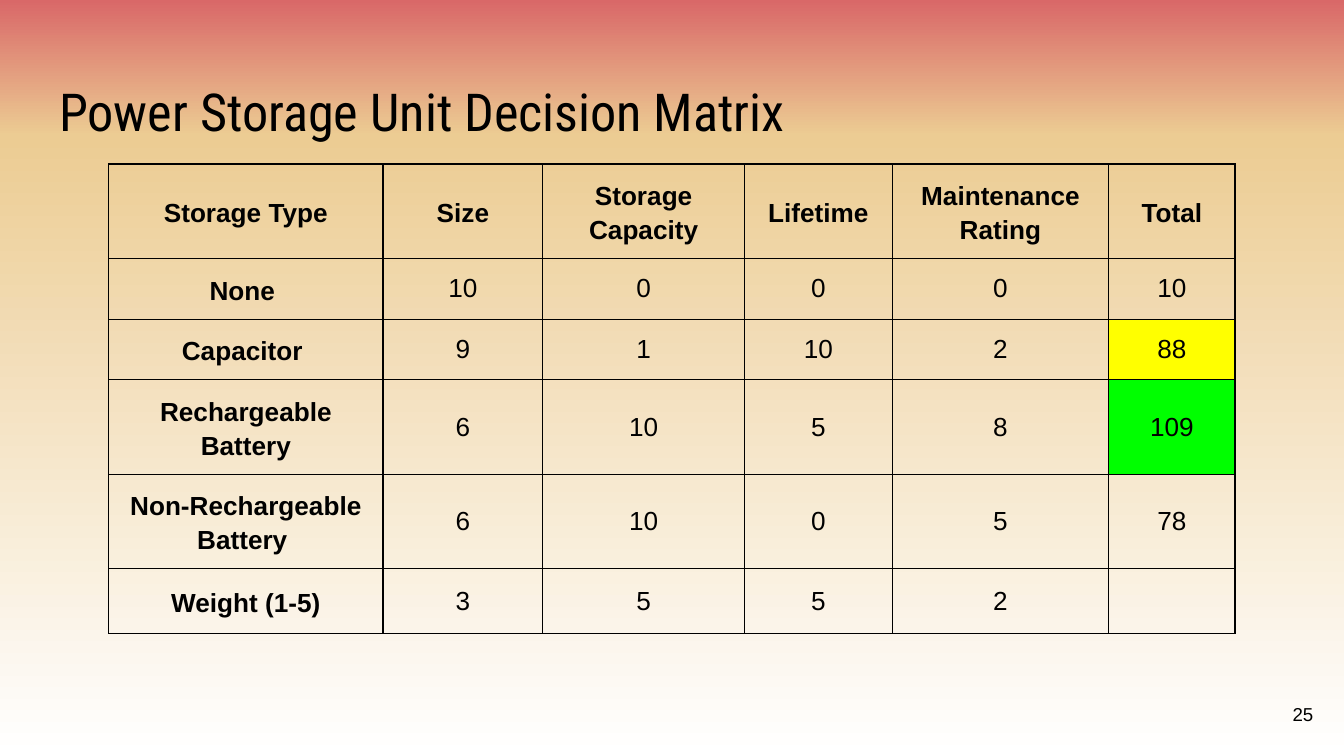
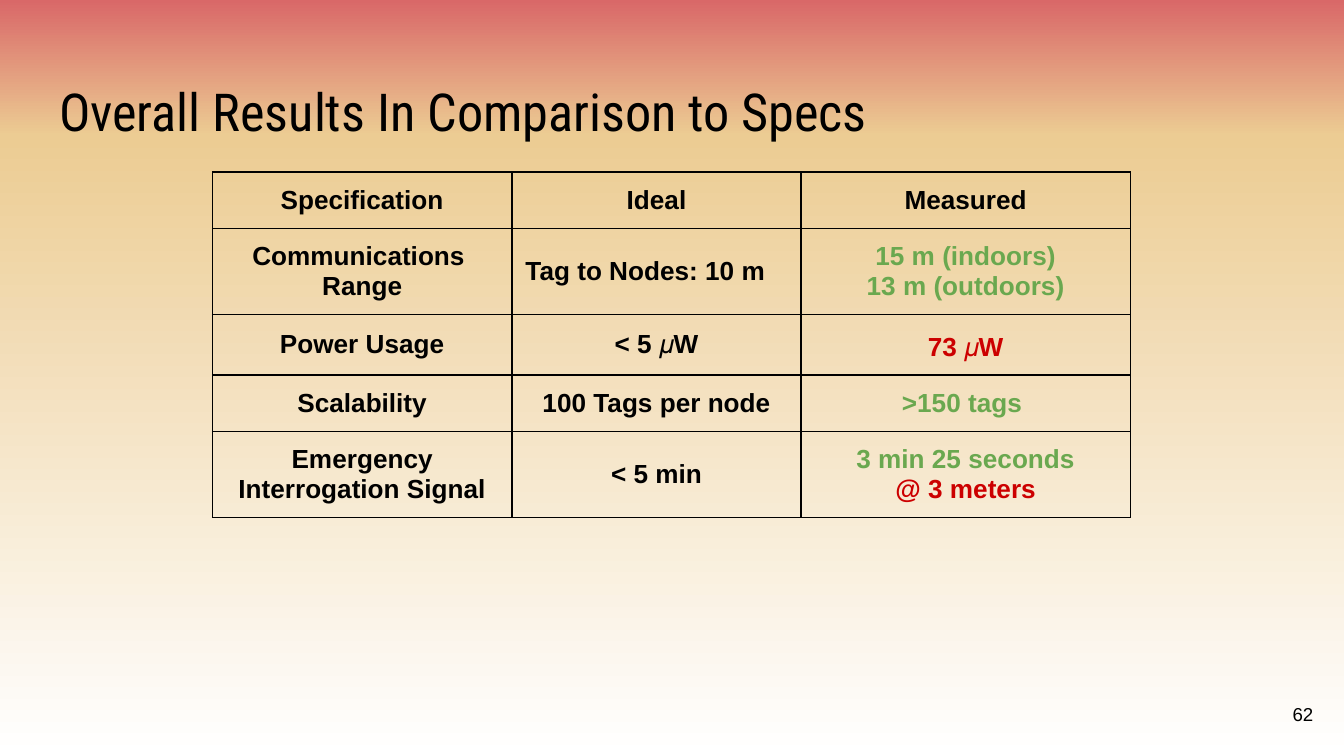
from dataclasses import dataclass
from typing import NamedTuple

from lxml import etree
from pptx import Presentation
from pptx.dml.color import RGBColor
from pptx.enum.text import MSO_ANCHOR, MSO_AUTO_SIZE, PP_ALIGN
from pptx.oxml.ns import qn
from pptx.util import Inches, Pt

LEFT, CENTER, RIGHT = PP_ALIGN.LEFT, PP_ALIGN.CENTER, PP_ALIGN.RIGHT
TOP, MIDDLE = MSO_ANCHOR.TOP, MSO_ANCHOR.MIDDLE
NO_AUTOFIT = MSO_AUTO_SIZE.NONE
TITLE_ONLY = 5

COLORS = {
    "text": "000000",
    "border": "000000",
    "runner_up": "FFFF00",
    "winner": "00FF00",
    "met": "6AA84F",
    "missed": "CC0000",
    "sky": "D96868",
    "sand": "ECCC93",
    "ground": "FFFFFF",
}
GRADIENT = ((0, "sky"), (18, "sand"), (100, "ground"))
TITLE_FONT, BODY_FONT = "Roboto Condensed", "Arial"
TABLE_SIZE = 14
SLIDE_WIDTH = Inches(10)
SLIDE_HEIGHT = SLIDE_WIDTH * 9 // 16
INSET = Inches(0.1)
BORDER_WIDTH = Pt(0.75)


class Cell(NamedTuple):
    """Text and format of one table cell, with one colour per paragraph."""

    text: str
    bold: bool = True
    colors: tuple[str, ...] = ("text",)
    fill: str | None = None
    spacing: float = 1.0
    alignment: PP_ALIGN = CENTER


@dataclass
class TableSlide:
    """Content of a slide made of a title, a table and a page number."""

    title: str
    page: int
    left: float
    top: float
    columns: list[float]
    rows: list[float]
    cells: list[list[Cell]]


def label(text: str) -> Cell:
    """Return a bold heading cell of the decision matrix."""
    return Cell(text, spacing=1.15)


def scores(name: str, *values: int, total: str = "", fill: str | None = None) -> list[Cell]:
    """Return a row of the decision matrix."""
    numbers = [Cell(str(value), bold=False) for value in values]
    return [label(name), *numbers, Cell(total, bold=False, fill=fill)]


HEADINGS = ("Storage Type", "Size", "Storage Capacity", "Lifetime", "Maintenance Rating", "Total")

SLIDES = [
    TableSlide(
        title="Power Storage Unit Decision Matrix",
        page=25,
        left=0.81,
        top=1.22,
        columns=[2.04, 1.19, 1.5, 1.1, 1.61, 0.94],
        rows=[0.7, 0.45, 0.45, 0.7, 0.7, 0.48],
        cells=[
            [label(heading) for heading in HEADINGS],
            scores("None ", 10, 0, 0, 0, total="10"),
            scores("Capacitor ", 9, 1, 10, 2, total="88", fill="runner_up"),
            scores("Rechargeable Battery", 6, 10, 5, 8, total="109", fill="winner"),
            scores("Non-Rechargeable Battery ", 6, 10, 0, 5, total="78"),
            scores("Weight (1-5)", 3, 5, 5, 2),
        ],
    ),
    TableSlide(
        title="Overall Results In Comparison to Specs",
        page=62,
        left=1.58,
        top=1.28,
        columns=[2.23, 2.15, 2.45],
        rows=[0.42, 0.64, 0.45, 0.42, 0.64],
        cells=[
            [Cell("Specification"), Cell("Ideal"), Cell("Measured")],
            [
                Cell("Communications \nRange"),
                Cell("Tag to Nodes: 10 m", alignment=LEFT),
                Cell("15 m (indoors)\n13 m (outdoors)", colors=("met",)),
            ],
            [
                Cell("Power Usage"),
                Cell("< 5 𝜇W"),
                Cell("73 𝜇W", colors=("missed",), spacing=1.15),
            ],
            [
                Cell("Scalability"),
                Cell("100 Tags per node"),
                Cell(">150 tags ", colors=("met",)),
            ],
            [
                Cell("Emergency Interrogation Signal"),
                Cell("< 5 min"),
                Cell("3 min 25 seconds\n@ 3 meters", colors=("met", "missed")),
            ],
        ],
    ),
]


def write(
    text_frame,
    text: str,
    *,
    size: float,
    font: str = BODY_FONT,
    bold: bool = False,
    colors: tuple[str, ...] = ("text",),
    alignment: PP_ALIGN = LEFT,
    spacing: float = 1.0,
) -> None:
    """Write each line of the text as a formatted paragraph."""
    for index, line in enumerate(text.split("\n")):
        paragraph = text_frame.add_paragraph() if index else text_frame.paragraphs[0]
        paragraph.alignment = alignment
        paragraph.line_spacing = spacing
        run = paragraph.add_run()
        run.text = line
        run.font.name = font
        run.font.size = Pt(size)
        run.font.bold = bold
        run.font.color.rgb = RGBColor.from_string(COLORS[colors[min(index, len(colors) - 1)]])


def set_frame(text_frame, anchor: MSO_ANCHOR) -> None:
    """Set the wrapping, insets and anchor of a text frame."""
    text_frame.word_wrap = True
    text_frame.auto_size = NO_AUTOFIT
    text_frame.vertical_anchor = anchor
    text_frame.margin_left = text_frame.margin_right = INSET
    text_frame.margin_top = text_frame.margin_bottom = INSET


def add_color(parent, color: str) -> None:
    """Add a colour element to an XML parent."""
    etree.SubElement(parent, qn("a:srgbClr"), val=COLORS[color])


def set_background(master) -> None:
    """Give the slide master its vertical gradient."""
    fill = master.background.fill
    fill.gradient()
    fill.gradient_angle = 270
    stops = master.element.xpath("./p:cSld/p:bg//a:gsLst")[0]
    for stop in list(stops):
        stops.remove(stop)
    for percent, color in GRADIENT:
        add_color(etree.SubElement(stops, qn("a:gs"), pos=str(percent * 1000)), color)


def add_borders(table_cell) -> None:
    """Draw a thin line on the four sides of a cell."""
    properties = table_cell._tc.get_or_add_tcPr()
    for index, side in enumerate(("lnL", "lnR", "lnT", "lnB")):
        line = etree.Element(qn(f"a:{side}"), w=str(int(BORDER_WIDTH)))
        add_color(etree.SubElement(line, qn("a:solidFill")), "border")
        properties.insert(index, line)


def fill_cell(table_cell, cell: Cell) -> None:
    """Write and format one table cell."""
    table_cell.vertical_anchor = MIDDLE
    table_cell.margin_left = table_cell.margin_right = INSET
    table_cell.margin_top = table_cell.margin_bottom = INSET
    if cell.fill:
        table_cell.fill.solid()
        table_cell.fill.fore_color.rgb = RGBColor.from_string(COLORS[cell.fill])
    else:
        table_cell.fill.background()
    add_borders(table_cell)
    if cell.text:
        write(
            table_cell.text_frame,
            cell.text,
            size=TABLE_SIZE,
            bold=cell.bold,
            colors=cell.colors,
            alignment=cell.alignment,
            spacing=cell.spacing,
        )
    else:
        paragraph = table_cell.text_frame.paragraphs[0]
        etree.SubElement(paragraph._p, qn("a:endParaRPr"), sz=str(TABLE_SIZE * 100))


def add_title(slide, text: str) -> None:
    """Place and write the slide title."""
    title = slide.shapes.title
    title.left, title.top = Inches(0.34), Inches(0.49)
    title.width, title.height = Inches(9.32), Inches(0.63)
    set_frame(title.text_frame, TOP)
    write(title.text_frame, text, size=28, font=TITLE_FONT)


def add_grid(slide, content: TableSlide) -> None:
    """Add the table of a slide."""
    table = slide.shapes.add_table(
        len(content.rows),
        len(content.columns),
        Inches(content.left),
        Inches(content.top),
        Inches(sum(content.columns)),
        Inches(sum(content.rows)),
    ).table
    table.first_row = table.horz_banding = False
    for column, width in zip(table.columns, content.columns):
        column.width = Inches(width)
    for row, height, cells in zip(table.rows, content.rows, content.cells):
        row.height = Inches(height)
        for table_cell, cell in zip(row.cells, cells):
            fill_cell(table_cell, cell)


def add_page_number(slide, page: int) -> None:
    """Add the page number in the lower right corner."""
    box = slide.shapes.add_textbox(Inches(9.27), Inches(5.1), Inches(0.6), Inches(0.43))
    set_frame(box.text_frame, MIDDLE)
    write(box.text_frame, str(page), size=10, alignment=RIGHT)


def main() -> None:
    """Build and save the presentation."""
    presentation = Presentation()
    presentation.slide_width, presentation.slide_height = SLIDE_WIDTH, SLIDE_HEIGHT
    set_background(presentation.slide_master)
    for content in SLIDES:
        slide = presentation.slides.add_slide(presentation.slide_layouts[TITLE_ONLY])
        add_title(slide, content.title)
        add_grid(slide, content)
        add_page_number(slide, content.page)
    presentation.save("out.pptx")


if __name__ == "__main__":
    main()
